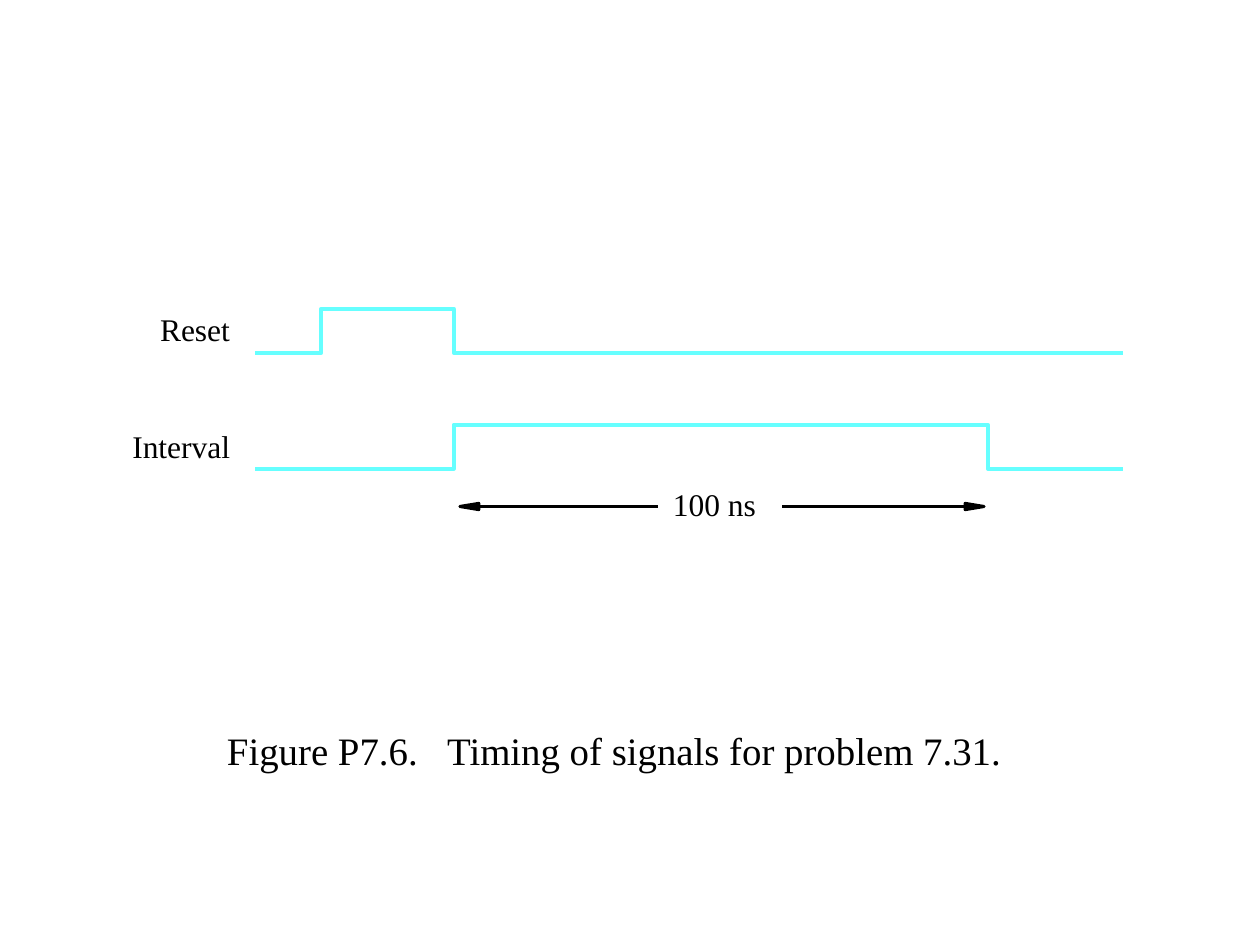
from dataclasses import dataclass

from lxml.etree import SubElement
from pptx import Presentation
from pptx.dml.color import RGBColor
from pptx.enum.shapes import MSO_CONNECTOR
from pptx.enum.text import MSO_AUTO_SIZE, PP_ALIGN
from pptx.oxml.ns import qn
from pptx.util import Inches, Pt


@dataclass(frozen=True)
class Theme:
    font: str = "Times New Roman"
    ink: RGBColor = RGBColor(0x00, 0x00, 0x00)
    signal: RGBColor = RGBColor(0x66, 0xFF, 0xFF)
    caption_size: float = 22.2
    label_size: float = 18
    signal_width: float = 2.25
    head_width: float = 1.75
    arrow_width: float = 1.5


theme = Theme()
presentation = Presentation()
presentation.slide_width = Inches(10)
presentation.slide_height = Inches(7.5)
slide = presentation.slides.add_slide(presentation.slide_layouts[6])


def add_text(words, left, top, width, height, size=theme.label_size,
             align=PP_ALIGN.LEFT, inset=(0, 0), wrap=False, gap=0):
    """Write the strings in words as one line, with gap points between them."""
    box = slide.shapes.add_textbox(
        Inches(left), Inches(top), Inches(width), Inches(height))
    frame = box.text_frame
    frame.word_wrap = wrap
    frame.auto_size = MSO_AUTO_SIZE.NONE if wrap else MSO_AUTO_SIZE.SHAPE_TO_FIT_TEXT
    frame.margin_left = frame.margin_right = Inches(inset[0])
    frame.margin_top = frame.margin_bottom = Inches(inset[1])
    paragraph = frame.paragraphs[0]
    paragraph.alignment = align
    for index, word in enumerate(words):
        pieces = [word] if index == 0 else [" ", word]
        for piece in pieces:
            run = paragraph.add_run()
            run.text = piece
            run.font.name = theme.font
            run.font.size = Pt(size)
            run.font.color.rgb = theme.ink
            if piece == " ":
                run.font._element.set("spc", str(round(gap * 100)))


def add_outline(points, color, width, closed=False):
    """Draw a path through points given in inches."""
    corners = [(Inches(x), Inches(y)) for x, y in points]
    builder = slide.shapes.build_freeform(*corners[0])
    builder.add_line_segments(corners[1:], close=closed)
    outline = builder.convert_to_shape()
    outline.shadow.inherit = False
    outline.line.color.rgb = color
    outline.line.width = Pt(width)
    if closed:
        outline.fill.solid()
        outline.fill.fore_color.rgb = color
    else:
        outline.fill.background()


# Figure caption
add_text(["Figure P7.6.", "Timing of signals for problem 7.31."],
         0.83, 5.72, 8.09, 0.5, size=theme.caption_size,
         align=PP_ALIGN.CENTER, inset=(0.1, 0.05), wrap=True, gap=11.1)

# Signals: name, label left, top and width, pulse rise and fall, high level
wave_start, wave_end, pulse_height = 2.02, 8.91, 0.35
signals = [
    ("Reset", 1.27, 2.46, 0.71, 2.55, 3.6, 2.45),
    ("Interval", 1.05, 3.39, 0.91, 3.6, 7.84, 3.37),
]
for name, left, top, width, rise, fall, high in signals:
    low = high + pulse_height
    add_text([name], left, top, width, 0.3)
    add_outline([(wave_end, low), (fall, low), (fall, high),
                 (rise, high), (rise, low), (wave_start, low)],
                theme.signal, theme.signal_width)

# Duration of the interval: tip, head base, inner end of each arrow
arrow_y, half_head = 4.02, 0.025
for tip, base, inner in [(3.65, 3.8, 5.22), (7.81, 7.66, 6.21)]:
    add_outline([(base, arrow_y - half_head), (tip, arrow_y),
                 (base, arrow_y + half_head)],
                theme.ink, theme.head_width, closed=True)
    shaft = slide.shapes.add_connector(
        MSO_CONNECTOR.STRAIGHT,
        Inches(inner), Inches(arrow_y), Inches(base), Inches(arrow_y))
    shaft.line.color.rgb = theme.ink
    shaft.line.width = Pt(theme.arrow_width)
    SubElement(shaft._element.spPr, qn("a:effectLst"))
add_text(["100 ns"], 5.34, 3.85, 0.77, 0.3)

presentation.save("out.pptx")
